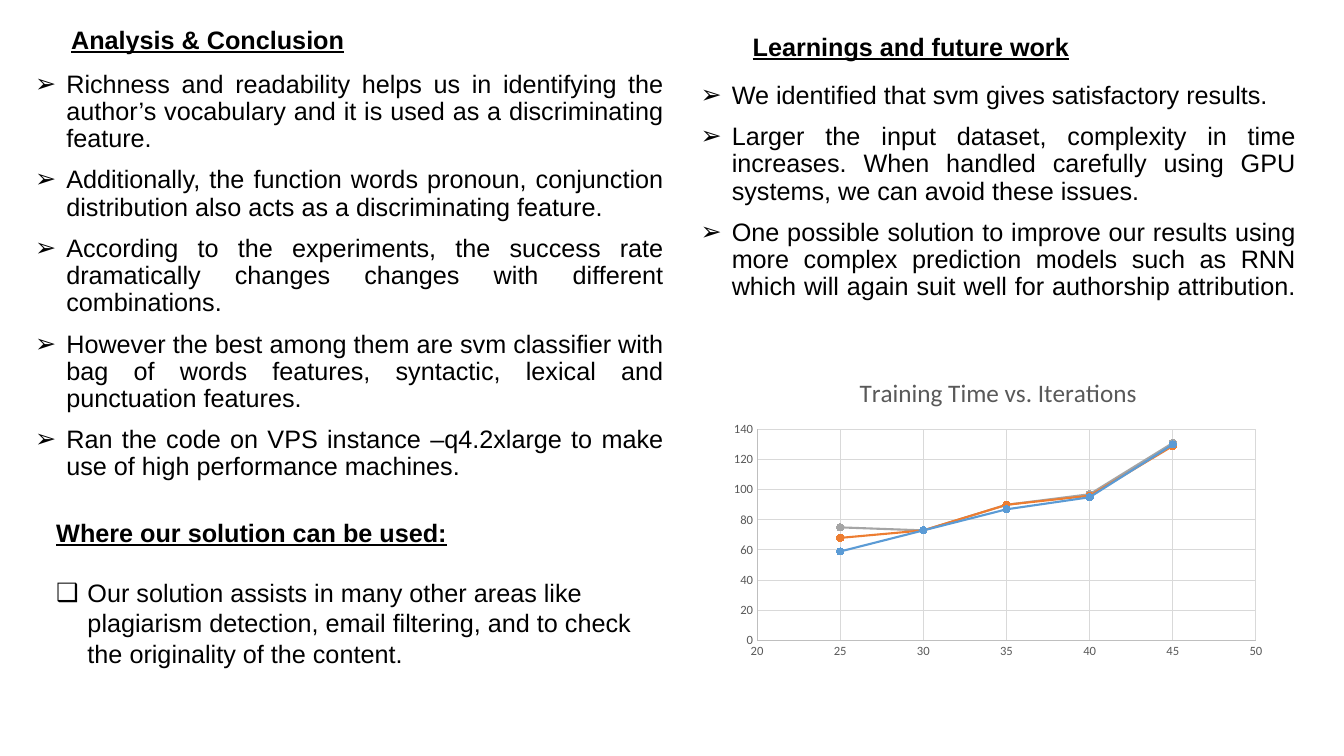
from lxml.etree import SubElement as Sub
from pptx import Presentation
from pptx.chart.data import XyChartData
from pptx.dml.color import RGBColor
from pptx.enum.chart import XL_CHART_TYPE as Kind, XL_MARKER_STYLE as Mark, XL_TICK_MARK as Tick
from pptx.enum.text import MSO_ANCHOR as Anchor, PP_ALIGN as Align
from pptx.oxml.ns import qn
from pptx.util import Inches, Pt

BLACK = RGBColor(0x00, 0x00, 0x00)
GRAY = RGBColor(0x59, 0x59, 0x59)
AXIS = RGBColor(0xBF, 0xBF, 0xBF)
GRID = RGBColor(0xD9, 0xD9, 0xD9)
BLUE = RGBColor(0x5B, 0x9B, 0xD5)
ORANGE = RGBColor(0xED, 0x7D, 0x31)
SILVER = RGBColor(0xA5, 0xA5, 0xA5)

BODY = {"name": "Arial", "size": Pt(18)}
HEAD = BODY | {"bold": True, "underline": True}
TITLE = {"alignment": Align.CENTER, "line_spacing": 0.9}
POINT = {"alignment": Align.JUSTIFY, "line_spacing": 0.9, "space_before": Pt(10)}

prs = Presentation()
prs.slide_width, prs.slide_height = Inches(13.33), Inches(7.5)
slide = prs.slides.add_slide(prs.slide_layouts[6])


def apply(item, vals):
    for key, val in vals.items():
        setattr(item, key, val)


def write(para, text, font, form, mark=None):
    run = para.add_run()
    run.text = text
    apply(run.font, font)
    run.font.color.rgb = BLACK
    apply(para, form)
    if mark:
        props = para._p.get_or_add_pPr()
        props.set("marL", str(Inches(0.31)))
        props.set("indent", str(-Inches(0.31)))
        Sub(props, qn("a:buFont")).set("typeface", "Arial")
        Sub(props, qn("a:buChar")).set("char", mark)


# Text boxes: place, anchor, paragraphs
uses = [
    ("Where our solution can be used:", HEAD, {}),
    ("Our solution assists in many other areas like plagiarism detection, email filtering, "
     "and to check the originality of the content.", BODY, {"space_before": Pt(21.5)}, "❑"),
]
left = [
    "Richness and readability helps us in identifying the author’s vocabulary and it is used "
    "as a discriminating feature.",
    "Additionally, the function words pronoun, conjunction distribution also acts as a "
    "discriminating feature.",
    "According to the experiments, the success rate dramatically changes changes with "
    "different combinations. ",
    "However the best among them are svm classifier with bag of words features, syntactic, "
    "lexical and punctuation features. ",
    "Ran the code on VPS instance –q4.2xlarge to make use of high performance machines.",
]
right = [
    "We identified that svm gives satisfactory results.",
    "Larger the input dataset, complexity in time increases. When handled carefully using "
    "GPU systems, we can avoid these issues.",
    "One possible solution to improve our results using more complex prediction models such "
    "as RNN which will again suit well for authorship attribution. ",
]
boxes = [
    ((0.34, 0.05, 3.44, 0.54), Anchor.BOTTOM, [("Analysis & Conclusion", HEAD, TITLE)]),
    ((0.25, 0.66, 6.43, 4.27), Anchor.TOP, [(text, BODY, POINT, "➢") for text in left]),
    ((6.85, 0.14, 4.37, 0.52), Anchor.BOTTOM, [("Learnings and future work", HEAD, TITLE)]),
    ((6.85, 0.77, 6.1, 2.79), Anchor.TOP, [(text, BODY, POINT, "➢") for text in right]),
    ((0.46, 5.08, 6, 1.92), Anchor.TOP, uses),
]
for place, anchor, paras in boxes:
    frame = slide.shapes.add_textbox(*map(Inches, place)).text_frame
    apply(frame, {"word_wrap": True, "vertical_anchor": anchor})
    for num, para in enumerate(paras):
        write(frame.add_paragraph() if num else frame.paragraphs[0], *para)

# Chart data
steps = [25, 30, 35, 40, 45]
times = [
    ("Series 1", BLUE, [59, 73, 87, 95, 130]),
    ("Series 2", ORANGE, [68, 73, 90, 96, 129]),
    ("Series 3", SILVER, [75, 73, 90, 97, 131]),
]
data = XyChartData()
for name, _, vals in times:
    line = data.add_series(name)
    for step, val in zip(steps, vals):
        line.add_data_point(step, val)

# Chart and its title
place = map(Inches, (7.17, 3.56, 5.46, 3.04))
chart = slide.shapes.add_chart(Kind.XY_SCATTER_LINES, *place, data).chart
apply(chart, {"has_legend": False, "has_title": True})
apply(chart.font, {"name": "Calibri", "size": Pt(10)})
chart.font.color.rgb = BLACK
head = chart.chart_title.text_frame
head.text = "Training Time vs. Iterations"
font = head.paragraphs[0].runs[0].font
apply(font, {"name": "Calibri", "size": Pt(18), "bold": False})
font.color.rgb = GRAY

# Axes
for axis, low, high, unit in (
    (chart.category_axis, 20, 50, 5),
    (chart.value_axis, 0, 140, 20),
):
    apply(axis, {
        "minimum_scale": low, "maximum_scale": high, "major_unit": unit,
        "major_tick_mark": Tick.NONE, "minor_tick_mark": Tick.NONE,
        "has_major_gridlines": True,
    })
    for edge, color in ((axis.format.line, AXIS), (axis.major_gridlines.format.line, GRID)):
        edge.width = Pt(0.75)
        edge.color.rgb = color
    apply(axis.tick_labels.font, {"name": "Calibri", "size": Pt(9)})
    axis.tick_labels.font.color.rgb = GRAY

# Series lines and markers
plot = chart.plots[0]
plot.vary_by_categories = False
for line, (_, color, _) in zip(plot.series, times):
    line.smooth = False
    line.format.line.width = Pt(1.5)
    line.format.line.color.rgb = color
    apply(line.marker, {"style": Mark.CIRCLE, "size": 5})
    line.marker.format.fill.solid()
    line.marker.format.fill.fore_color.rgb = color
    line.marker.format.line.color.rgb = color

prs.save("out.pptx")
